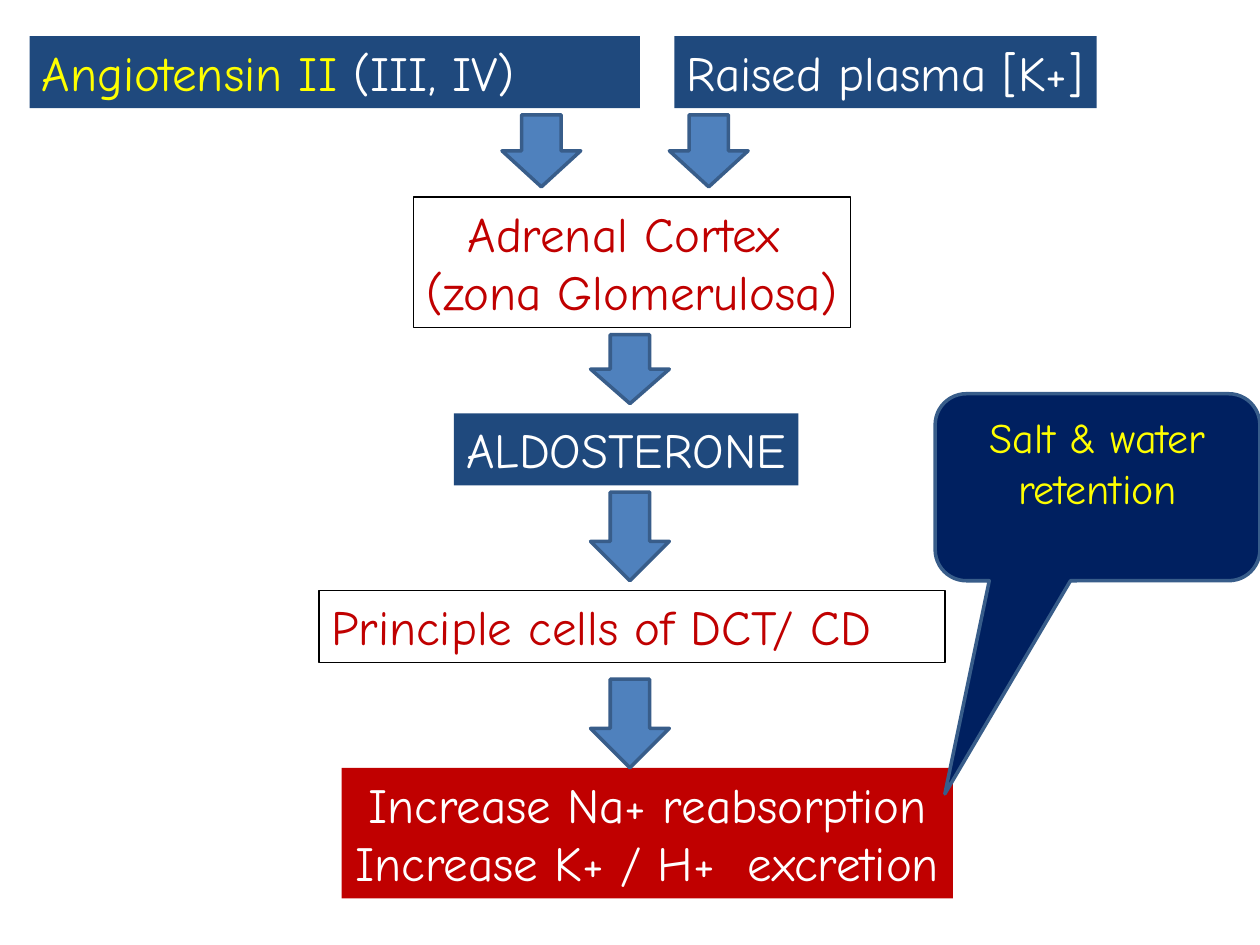
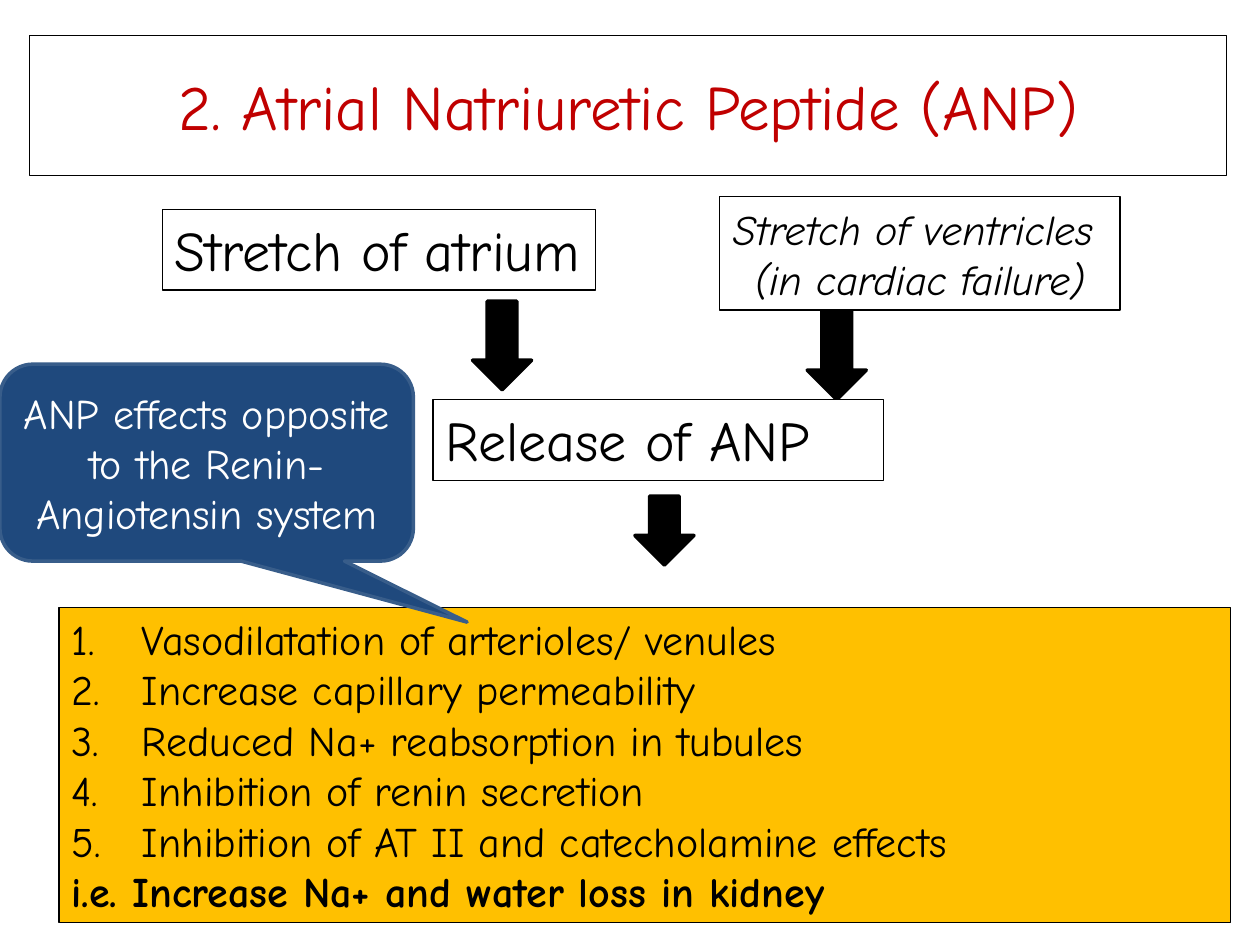
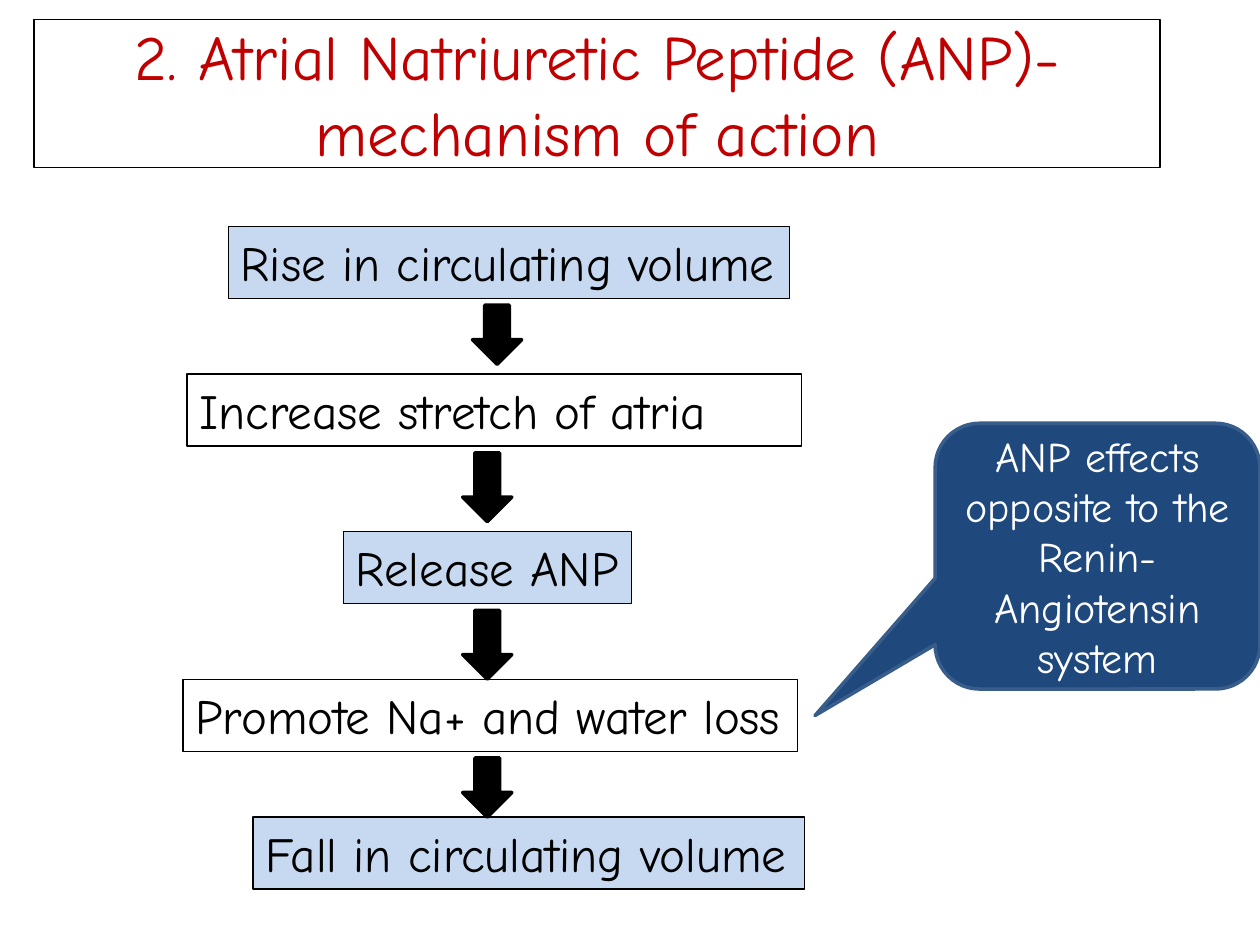
from dataclasses import dataclass

from lxml import etree
from pptx import Presentation
from pptx.dml.color import RGBColor
from pptx.enum.shapes import MSO_SHAPE
from pptx.enum.text import MSO_ANCHOR, MSO_AUTO_SIZE, PP_ALIGN
from pptx.oxml.ns import qn
from pptx.util import Inches, Pt

RECTANGLE = MSO_SHAPE.RECTANGLE
ROUNDED = MSO_SHAPE.ROUNDED_RECTANGLE
DOWN_ARROW = MSO_SHAPE.DOWN_ARROW
CALLOUT = MSO_SHAPE.ROUNDED_RECTANGULAR_CALLOUT
TOP, MIDDLE = MSO_ANCHOR.TOP, MSO_ANCHOR.MIDDLE
LEFT, CENTER = PP_ALIGN.LEFT, PP_ALIGN.CENTER
FIXED, GROW = MSO_AUTO_SIZE.NONE, MSO_AUTO_SIZE.SHAPE_TO_FIT_TEXT

TITLE_ONLY, BLANK = 5, 6
COLUMNS, ROWS = 64, 48


@dataclass(frozen=True)
class Theme:
    font: str = "Comic Neue"
    title_size: int = 36
    large: int = 32
    normal: int = 28
    small: int = 24
    thin: float = 0.75
    thick: float = 2
    black: str = "000000"
    white: str = "FFFFFF"
    red: str = "C00000"
    yellow: str = "FFFF00"
    gold: str = "FFC000"
    navy: str = "1F497D"
    midnight: str = "002060"
    blue: str = "4F81BD"
    blue_edge: str = "385D8A"
    pale_blue: str = "C6D9F1"


THEME = Theme()
# Box styles: fill, outline, text colour
NAVY = (THEME.navy, None, THEME.white)
ALERT = (THEME.red, None, THEME.white)
SITE = (THEME.white, THEME.black, THEME.red)
PLAIN = (THEME.white, THEME.black, THEME.black)
OPEN = (None, THEME.black, THEME.black)
PALE = (THEME.pale_blue, THEME.black, THEME.black)
GOLD = (THEME.gold, THEME.black, THEME.black)
# Arrow styles: fill, outline
BLUE_ARROW = (THEME.blue, THEME.blue_edge)
BLACK_ARROW = (THEME.black, THEME.black)


def set_attributes(target, values):
    for name, value in values.items():
        setattr(target, name, value)


class Deck:
    """Draws on the current slide; places are (column, row, columns, rows)."""

    def __init__(self, theme):
        self.theme = theme
        self.presentation = Presentation()
        set_attributes(self.presentation, {
            "slide_width": Inches(10), "slide_height": Inches(7.5)})
        self.slide = None

    def new_slide(self, layout):
        self.slide = self.presentation.slides.add_slide(
            self.presentation.slide_layouts[layout])

    def place(self, left, top, width, height):
        column = self.presentation.slide_width / COLUMNS
        row = self.presentation.slide_height / ROWS
        return [round(left * column), round(top * row),
                round(width * column), round(height * row)]

    def paint(self, shape, fill, outline, weight):
        if fill:
            shape.fill.solid()
            shape.fill.fore_color.rgb = RGBColor.from_string(fill)
        else:
            shape.fill.background()
        if outline:
            shape.line.color.rgb = RGBColor.from_string(outline)
            shape.line.width = Pt(weight)
        else:
            shape.line.fill.background()

    def shape(self, kind, place, fill, outline, weight):
        shape = self.slide.shapes.add_shape(kind, *self.place(*place))
        shape.shadow.inherit = False
        self.paint(shape, fill, outline, weight)
        return shape

    def format_run(self, run, size, color, **font):
        set_attributes(run.font, {
            "name": self.theme.font, "size": Pt(size), **font})
        run.font.color.rgb = RGBColor.from_string(color)

    def add_text(self, shape, lines, size, color, align=LEFT, **font):
        """Each line is a string or a list of (text, colour) pairs."""
        frame = shape.text_frame
        for index, line in enumerate(lines):
            paragraph = frame.add_paragraph() if index else frame.paragraphs[0]
            paragraph.alignment = align
            for text, tint in [(line, color)] if isinstance(line, str) else line:
                run = paragraph.add_run()
                run.text = text
                self.format_run(run, size, tint, **font)

    def title(self, place, text):
        shape = self.slide.shapes.title
        set_attributes(shape, dict(zip(
            ("left", "top", "width", "height"), self.place(*place))))
        self.paint(shape, None, self.theme.black, self.theme.thin)
        frame = shape.text_frame
        set_attributes(frame, {
            "auto_size": FIXED, "vertical_anchor": MIDDLE, "word_wrap": True})
        paragraph = frame.paragraphs[0]
        paragraph.text = text
        paragraph.alignment = CENTER
        for run in paragraph.runs:
            self.format_run(run, self.theme.title_size, self.theme.red)
        for line_break in paragraph._p.findall(qn("a:br")):
            etree.SubElement(line_break, qn("a:rPr"),
                             sz=str(self.theme.title_size * 100))

    def box(self, place, lines, style, size=None, wrap=False, **text_format):
        fill, outline, color = style
        shape = self.shape(RECTANGLE, place, fill, outline, self.theme.thin)
        set_attributes(shape.text_frame, {
            "auto_size": GROW, "vertical_anchor": TOP, "word_wrap": wrap})
        self.add_text(shape, lines, size or self.theme.normal, color,
                      **text_format)
        return shape

    def numbered_box(self, place, items, conclusion, style):
        shape = self.box(place, [*items, conclusion], style,
                         self.theme.small, wrap=True)
        paragraphs = shape.text_frame.paragraphs
        hanging = Inches(0.56)
        for index, paragraph in enumerate(paragraphs):
            properties = paragraph._p.get_or_add_pPr()
            properties.set("marL", str(hanging))
            properties.set("indent", str(-hanging))
            if index < len(items):
                etree.SubElement(properties, qn("a:buAutoNum"),
                                 type="arabicPeriod")
        paragraphs[-1].runs[0].font.bold = True

    def arrow(self, place, style):
        self.shape(DOWN_ARROW, place, *style, self.theme.thick)

    def callout(self, place, tip, text, fill, color, bottom=0.05):
        """The tip is measured from the centre in shares of the shape's size."""
        shape = self.shape(CALLOUT, place, fill, self.theme.blue_edge,
                           self.theme.thick)
        for index, share in enumerate(tip):
            shape.adjustments[index] = share
        set_attributes(shape.text_frame, {
            "word_wrap": True, "vertical_anchor": MIDDLE,
            "margin_bottom": Inches(bottom)})
        self.add_text(shape, [text], self.theme.small, color, CENTER)


LINE_BOX, TWO_LINE_BOX, LARGE_BOX = 3.66, 6.63, 4.1
OPPOSITE = "ANP effects opposite to the Renin- Angiotensin system"


def aldosterone_slide(deck):
    deck.new_slide(BLANK)
    deck.box((1.5, 1.83, 31, LINE_BOX),
             [[("Angiotensin II ", THEME.yellow), ("(III, IV)", THEME.white)]],
             NAVY, wrap=True)
    deck.box((34.25, 1.83, 21.45, LINE_BOX), ["Raised plasma [K+]"], NAVY)
    deck.box((21, 10, 22.2, TWO_LINE_BOX),
             ["Adrenal Cortex ", "(zona Glomerulosa)"], SITE, align=CENTER)
    deck.box((23.05, 21, 17.5, LINE_BOX), ["ALDOSTERONE"], NAVY)
    deck.box((16.2, 30, 31.8, LINE_BOX), ["Principle cells of DCT/ CD"],
             SITE, wrap=True)
    deck.box((17.35, 39, 31.05, TWO_LINE_BOX),
             ["Increase Na+ reabsorption", "Increase K+ / H+  excretion"],
             ALERT, align=CENTER)
    for left, top, height in ((25.5, 5.83, 3.66), (34, 5.83, 3.66),
                              (30, 17, 3.5), (30, 25, 4.5), (30, 34.5, 4.5)):
        deck.arrow((left, top, 4, height), BLUE_ARROW)
    deck.callout((47.5, 20, 16.5, 9.5), (-0.47, 1.64), "Salt & water retention",
                 THEME.midnight, THEME.yellow, bottom=0.45)


def peptide_slide(deck):
    deck.new_slide(TITLE_ONLY)
    deck.title((1.5, 1.8, 60.8, 7.1), "2. Atrial Natriuretic Peptide (ANP)")
    deck.numbered_box((3, 30.85, 59.5, 16), [
        "Vasodilatation of arterioles/ venules",
        "Increase capillary permeability",
        "Reduced Na+ reabsorption in tubules",
        "Inhibition of renin secretion",
        "Inhibition of AT II and catecholamine effects",
    ], "i.e. Increase Na+ and water loss in kidney", GOLD)
    deck.box((8.25, 10.63, 22, LARGE_BOX), ["Stretch of atrium"], PLAIN,
             THEME.large)
    deck.box((36.55, 10, 20.35, 5.75),
             ["Stretch of ventricles ", "(in cardiac failure)"], PLAIN,
             THEME.small, align=CENTER, italic=True)
    for left, top, height in ((24, 15.3, 4.5), (41, 15.8, 4.5),
                              (32.25, 25.2, 3.5)):
        deck.arrow((left, top, 3, height), BLACK_ARROW)
    deck.box((22, 20.3, 22.9, LARGE_BOX), ["Release of ANP"], PLAIN,
             THEME.large, wrap=True)
    deck.callout((0, 18.5, 21, 10), (0.63, 0.81), OPPOSITE,
                 THEME.navy, THEME.white)


def mechanism_slide(deck):
    deck.new_slide(TITLE_ONLY)
    deck.shape(ROUNDED, (7, 9.5, 38, 37.5), THEME.white, THEME.white,
               THEME.thick)
    deck.title((1.73, 1, 57.2, 7.5),
               "2. Atrial Natriuretic Peptide (ANP)-\vmechanism of action")
    steps = (
        (11.6, 11.5, 28.5, "Rise in circulating volume", PALE, False),
        (9.5, 19, 31.2, "Increase stretch of atria", OPEN, True),
        (17.45, 27, 14.65, "Release ANP", PALE, False),
        (9.3, 34.5, 31.2, "Promote Na+ and water loss", OPEN, False),
        (12.85, 41.5, 28, "Fall in circulating volume", PALE, False),
    )
    for left, top, width, text, style, wrap in steps:
        deck.box((left, top, width, LINE_BOX), [text], style, wrap=wrap)
    for left, top, height in ((24, 15.5, 3), (23.5, 23, 3.5),
                              (23.5, 31, 3.5), (23.5, 38.5, 3)):
        deck.arrow((left, top, 2.5, height), BLACK_ARROW)
    deck.callout((47.5, 21.5, 16.5, 13.5), (-0.87, 0.6), OPPOSITE,
                 THEME.navy, THEME.white)


def main():
    deck = Deck(THEME)
    for build in (aldosterone_slide, peptide_slide, mechanism_slide):
        build(deck)
    deck.presentation.save("out.pptx")


if __name__ == "__main__":
    main()
